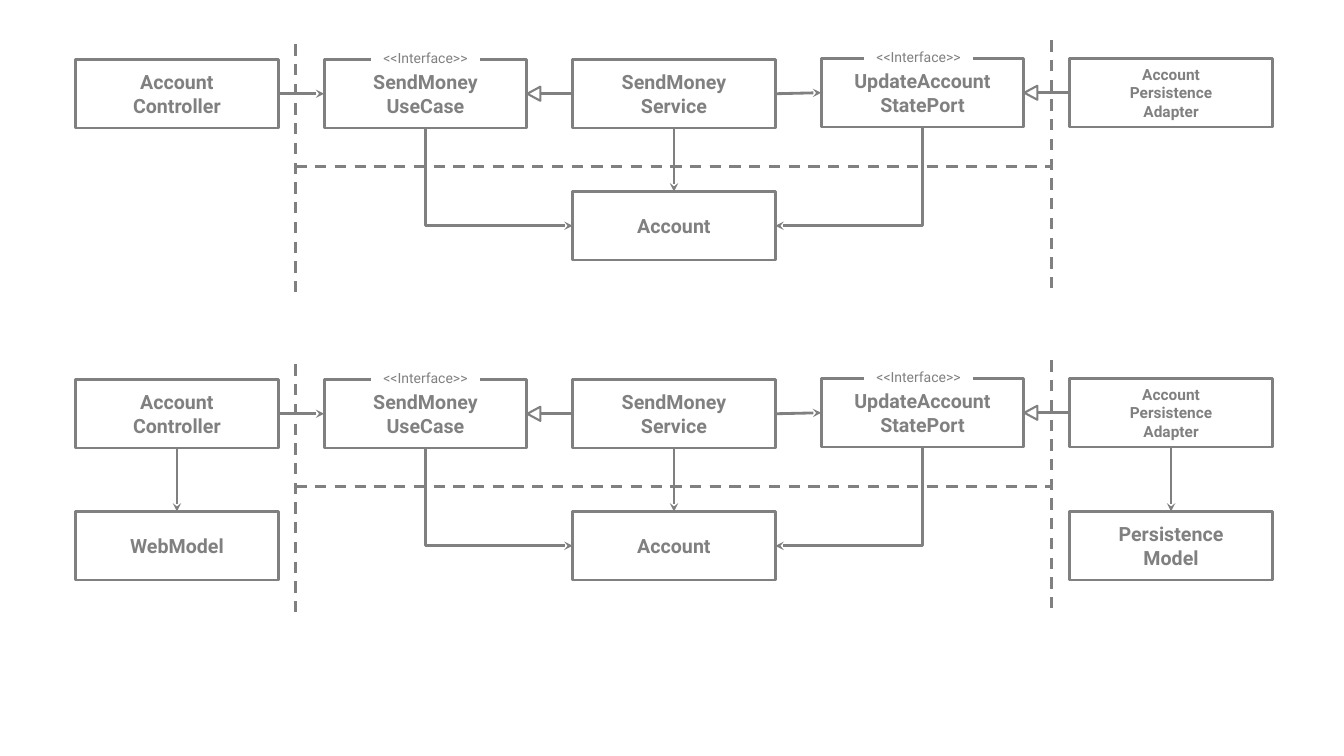
from lxml.etree import SubElement
from pptx import Presentation
from pptx.dml.color import RGBColor
from pptx.enum.dml import MSO_LINE
from pptx.enum.shapes import MSO_CONNECTOR, MSO_SHAPE
from pptx.enum.text import MSO_ANCHOR, PP_ALIGN
from pptx.oxml.ns import qn
from pptx.util import Inches, Pt

COLORS = {"grey": "808080", "white": "FFFFFF"}
FONT = "Roboto"
TOP, BOTTOM, LEFT, RIGHT = 2, 2, 1, 3
TOP = 0

# Boxes: name -> (column, top within a diagram, lines, text size)
BOXES = {
    "controller": (0, 0.59, ["Account", "Controller"], 14),
    "use case": (1, 0.59, ["SendMoney", "UseCase"], 14),
    "service": (2, 0.59, ["SendMoney", "Service"], 14),
    "port": (3, 0.58, ["UpdateAccount", "StatePort"], 14),
    "adapter": (4, 0.58, ["Account", "Persistence", "Adapter"], 11),
    "account": (2, 1.9, ["Account"], 14),
}
MODEL_BOXES = {
    "web model": (0, 1.9, ["WebModel"], 14),
    "persistence model": (4, 1.9, ["Persistence", "Model"], 14),
}
# Arrows: (from, side, to, side)
ARROWS = [
    ("controller", RIGHT, "use case", LEFT),
    ("service", RIGHT, "port", LEFT),
    ("service", BOTTOM, "account", TOP),
    ("adapter", LEFT, "port", RIGHT),
    ("service", LEFT, "use case", RIGHT),
]
MODEL_ARROWS = [
    ("controller", BOTTOM, "web model", TOP),
    ("adapter", BOTTOM, "persistence model", TOP),
]
ELBOWS = [("use case", "account", LEFT), ("port", "account", RIGHT)]
INTERFACES = [("use case", 0), ("port", -0.04)]  # box, label shift from centre
BORDERS = [  # dashed layer borders: x1, y1, x2, y2
    (2.93, 0.44, 2.93, 2.96),
    (10.43, 0.4, 10.43, 2.92),
    (2.93, 1.65, 10.42, 1.65),
]
DIAGRAMS = [  # top, boxes, arrows
    (0, BOXES, ARROWS),
    (3.175, {**BOXES, **MODEL_BOXES}, ARROWS + MODEL_ARROWS),
]

# Grid
COL_LEFT, COL_STEP = 0.75, 2.465
BOX_W, BOX_H = 2.01, 0.68
LABEL_W, LABEL_H, LABEL_RISE = 1.08, 0.27, 0.15
HEAD_W, HEAD_H = 0.14, 0.13

prs = Presentation()
prs.slide_width, prs.slide_height = Inches(13.33), Inches(7.5)
slide = prs.slides.add_slide(prs.slide_layouts[6])


def color(name):
    return RGBColor.from_string(COLORS[name])


def add_shape(kind, x, y, w, h, fill=None, line=None):
    s = slide.shapes.add_shape(kind, Inches(x), Inches(y), Inches(w), Inches(h))
    s.shadow.inherit = False
    if fill:
        s.fill.solid()
        s.fill.fore_color.rgb = color(fill)
    else:
        s.fill.background()
    if line:
        s.line.color.rgb = color("grey")
        s.line.width = Pt(line)
    else:
        s.line.fill.background()
    return s


def write(s, lines, size, bold):
    tf = s.text_frame
    tf.margin_left = tf.margin_right = tf.margin_top = tf.margin_bottom = 0
    tf.vertical_anchor = MSO_ANCHOR.MIDDLE
    tf.text = "\n".join(lines)
    for p in tf.paragraphs:
        p.alignment = PP_ALIGN.CENTER
        for r in p.runs:
            r.font.name, r.font.size, r.font.bold = FONT, Pt(size), bold
            r.font.color.rgb = color("grey")


def add_line(x1=0, y1=0, x2=0, y2=0, kind=MSO_CONNECTOR.STRAIGHT, dashed=False):
    c = slide.shapes.add_connector(kind, Inches(x1), Inches(y1), Inches(x2), Inches(y2))
    c.line.color.rgb = color("grey")
    c.line.width = Pt(2)
    if dashed:
        c.line.dash_style = MSO_LINE.DASH
    else:
        SubElement(c.line._get_or_add_ln(), qn("a:tailEnd"), type="stealth")
    SubElement(c._element.spPr, qn("a:effectLst"))
    return c


def add_elbow(start, end, side):
    """Go down from the start box, then sideways into the end box."""
    c = add_line(kind=MSO_CONNECTOR.ELBOW)
    c.begin_connect(start, BOTTOM)
    c.end_connect(end, side)
    x1, y1 = start.left + start.width // 2, start.top + start.height
    x2 = end.left if side == LEFT else end.left + end.width
    y2 = end.top + end.height // 2
    run, drop = abs(x2 - x1), y2 - y1
    # The one-bend preset is stored turned by a quarter around its centre
    c.left, c.top = (x1 + x2 - drop) // 2, (y1 + y2 - run) // 2
    c.width, c.height = drop, run
    xfrm = c._element.spPr.find(qn("a:xfrm"))
    for flip in ("flipH", "flipV"):
        xfrm.attrib.pop(flip, None)
    xfrm.set("rot", str((270 if side == LEFT else 90) * 60000))
    if side == LEFT:
        xfrm.set("flipH", "1")
    c._element.spPr.find(qn("a:prstGeom")).set("prst", "bentConnector2")


for diagram_top, boxes, arrows in DIAGRAMS:
    # Boxes
    placed = {}
    for name, (col, top, lines, size) in boxes.items():
        placed[name] = add_shape(MSO_SHAPE.RECTANGLE, COL_LEFT + col * COL_STEP,
                                 diagram_top + top, BOX_W, BOX_H, line=2)
        write(placed[name], lines, size, True)

    # Arrows
    for start, start_side, end, end_side in arrows:
        c = add_line()
        c.begin_connect(placed[start], start_side)
        c.end_connect(placed[end], end_side)
    for start, end, side in ELBOWS:
        add_elbow(placed[start], placed[end], side)

    # Interfaces: hollow arrowhead on the right side, label on the top side
    for name, shift in INTERFACES:
        col, top = boxes[name][:2]
        x, y = COL_LEFT + col * COL_STEP, diagram_top + top
        head = add_shape(MSO_SHAPE.ISOSCELES_TRIANGLE, x + BOX_W,
                         y + (BOX_H - HEAD_H) / 2, HEAD_W, HEAD_H, "white", 1.5)
        head.rotation = 270
        label = add_shape(MSO_SHAPE.RECTANGLE, x + (BOX_W - LABEL_W) / 2 + shift,
                          y - LABEL_RISE, LABEL_W, LABEL_H, "white")
        write(label, ["<<Interface>>"], 10, False)

    # Layer borders
    for x1, y1, x2, y2 in BORDERS:
        add_line(x1, diagram_top + y1, x2, diagram_top + y2, dashed=True)

prs.save("out.pptx")
